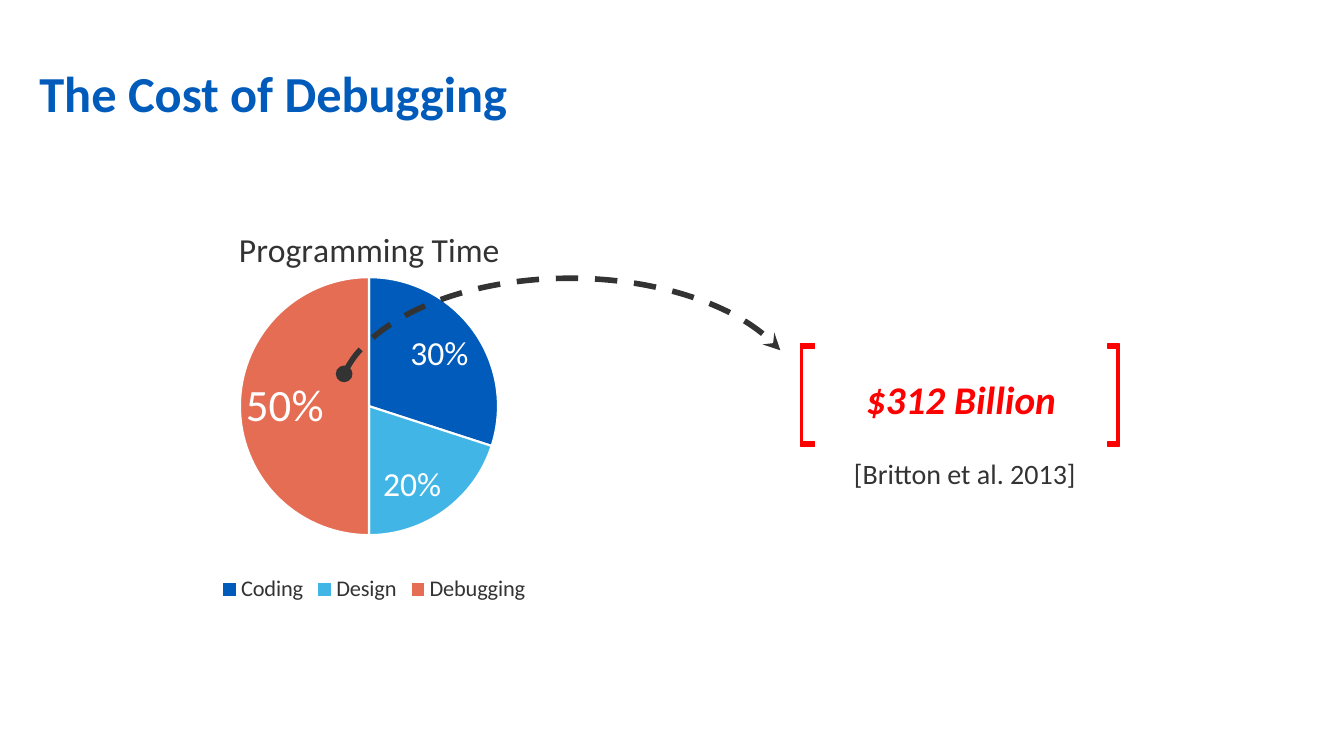
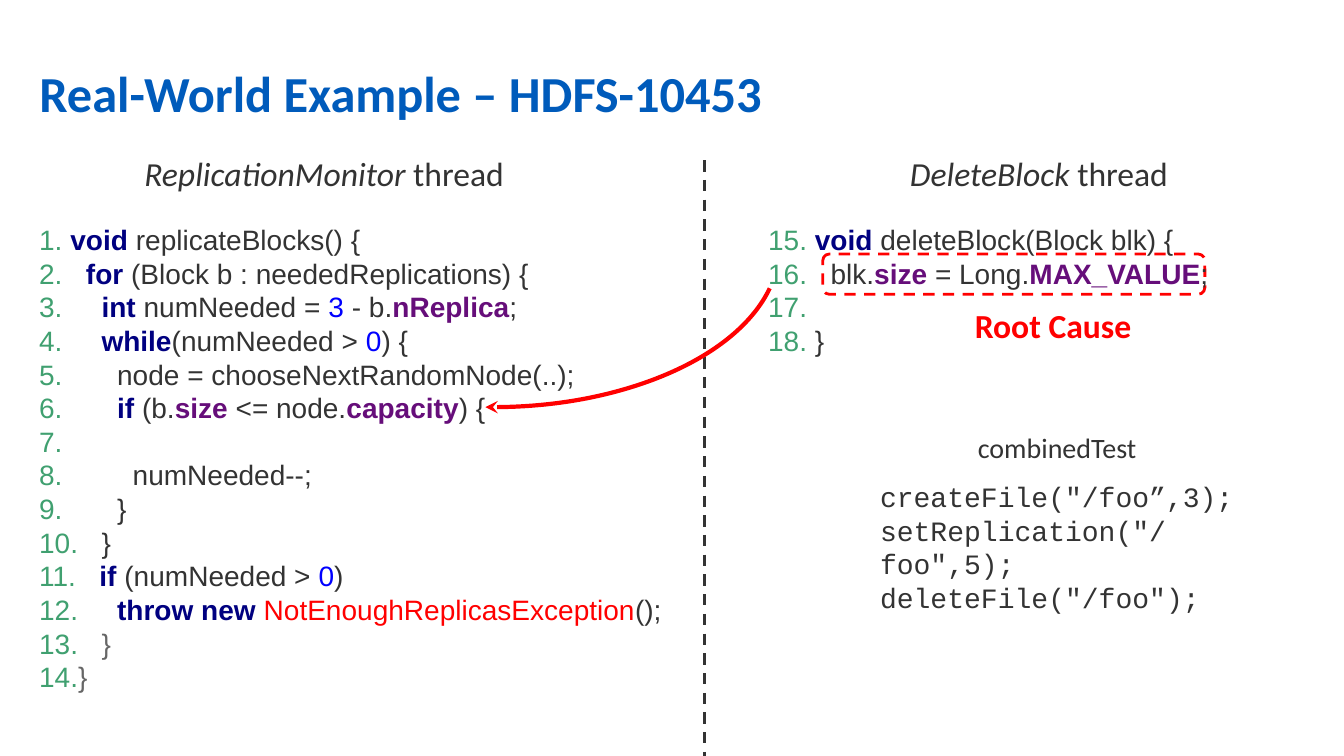
import pptx
import pptx.chart.data
import pptx.dml.color
import pptx.enum.chart
import pptx.enum.dml
import pptx.enum.shapes
import pptx.enum.text
import pptx.oxml
import pptx.oxml.ns
import pptx.util

Inches = pptx.util.Inches
Pt = pptx.util.Pt
SHAPE = pptx.enum.shapes.MSO_SHAPE
DASH = pptx.enum.dml.MSO_LINE.DASH
ALIGN = pptx.enum.text.PP_ALIGN

COLORS = {
    "blue": "005BBB", "sky": "41B6E6", "coral": "E56D54", "ink": "333333",
    "gray": "666666", "red": "FF0000", "white": "FFFFFF", "green": "40A070",
    "navy": "000080", "number": "0000FF", "purple": "660E7A",
}
BODY_FONT = "Calibri"

# Token style: colour, bold, italic
STYLES = {
    "line": ("green", False, False),
    "key": ("navy", True, False),
    "code": ("ink", False, False),
    "value": ("number", False, False),
    "field": ("purple", True, False),
    "error": ("red", False, False),
    "dim": ("gray", False, False),
    "name": ("ink", False, True),
}

COST_TITLE = "The Cost of Debugging"
CHART_TITLE = "Programming Time"
TIME_SHARES = [("Coding", 30, "blue"), ("Design", 20, "sky"), ("Debugging", 50, "coral")]
COST = "$312 Billion"
CITATION = "[Britton et al. 2013]"
# Outer edge, inner edge of each bracket
BRACKETS = [(7.94, 8.08), (11.1, 10.99)]

EXAMPLE_TITLE = "Real-World Example – HDFS-10453"
# Thread name, box
THREADS = [
    ("ReplicationMonitor", (0.86, 1.47, 4.71, 0.5)),
    ("DeleteBlock", (8.49, 1.47, 3.63, 0.5)),
]
REPLICATE_CODE = [
    [("line", "1. "), ("key", "void "), ("code", "replicateBlocks() {")],
    [("line", "2.   "), ("key", "for "), ("code", "(Block b : neededReplications) {")],
    [("line", "3.     "), ("key", "int "), ("code", "numNeeded = "), ("value", "3 "),
     ("code", "- b."), ("field", "nReplica"), ("code", ";")],
    [("line", "4.     "), ("key", "while"), ("code", "(numNeeded > "), ("value", "0"),
     ("code", ") {")],
    [("line", "5.       "), ("code", "node = chooseNextRandomNode(..);")],
    [("line", "6.       "), ("key", "if "), ("code", "(b."), ("field", "size "),
     ("code", "<= node."), ("field", "capacity"), ("code", ") {")],
    [("line", "7.")],
    [("line", "8.         "), ("code", "numNeeded--;")],
    [("line", "9.       "), ("code", "}")],
    [("line", "10.   "), ("code", "}")],
    [("line", "11.   "), ("key", "if "), ("code", "(numNeeded > "), ("value", "0"),
     ("code", ")")],
    [("line", "12.     "), ("key", "throw new "), ("error", "NotEnoughReplicasException"),
     ("code", "();")],
    [("line", "13.   "), ("dim", "}")],
    [("line", "14."), ("dim", "}")],
]
DELETE_CODE = [
    [("line", "15. "), ("key", "void "), ("code", "deleteBlock(Block blk) {")],
    [("line", "16.   "), ("code", "blk."), ("field", "size "), ("code", "= Long."),
     ("field", "MAX_VALUE"), ("code", ";")],
    [("line", "17.")],
    [("line", "18. "), ("code", "}")],
]
TEST_CODE = ['createFile("/foo”,3);', 'setReplication("/foo",5);', 'deleteFile("/foo");']


def rgb(name):
    return pptx.dml.color.RGBColor.from_string(COLORS[name])


def inches(box):
    return [Inches(length) for length in box]


def set_font(font, size, color="ink", name=BODY_FONT, bold=False, italic=False):
    font.name, font.size, font.bold, font.italic = name, Pt(size), bold, italic
    font.color.rgb = rgb(color)


def add_titled_slide(deck, title):
    page = deck.slides.add_slide(deck.slide_layouts[5])
    holder = page.shapes.title
    holder.left, holder.top, holder.width, holder.height = inches((0.29, 0.32, 11.83, 0.95))
    frame = holder.text_frame
    frame.text = title
    frame.auto_size = pptx.enum.text.MSO_AUTO_SIZE.NONE
    frame.vertical_anchor = pptx.enum.text.MSO_ANCHOR.BOTTOM
    para = frame.paragraphs[0]
    para.alignment = ALIGN.LEFT
    para.line_spacing = 0.9
    set_font(para.font, 36, "blue", bold=True)
    return page


def add_text(page, box, lines, size, align=ALIGN.CENTER, spacing=None, **font):
    """Add a text box; a line is a string or a list of (style, text) tokens."""
    frame = page.shapes.add_textbox(*inches(box)).text_frame
    frame.word_wrap = True
    for index, line in enumerate(lines):
        para = frame.add_paragraph() if index else frame.paragraphs[0]
        para.alignment = align
        para.line_spacing = spacing
        set_font(para.font, size, **font)
        if isinstance(line, str):
            para.add_run().text = line
            continue
        for style, text in line:
            span = para.add_run()
            span.text = text
            color, span.font.bold, span.font.italic = STYLES[style]
            span.font.color.rgb = rgb(color)


def add_code(page, box, lines, name="Arial"):
    add_text(page, box, lines, 20, ALIGN.LEFT, Pt(24), name=name)


def style_line(line, color, width, dash=None):
    line.color.rgb = rgb(color)
    line.width = Pt(width)
    if dash:
        line.dash_style = dash


def add_outline(page, kind, box, color, width, dash=None):
    shape = page.shapes.add_shape(kind, *inches(box))
    shape.shadow.inherit = False
    shape.fill.background()
    style_line(shape.line, color, width, dash)
    return shape


def add_arc_arrow(page, box, angles, color, width, dash=None, head=None):
    """Draw an arc between two angles in degrees, with an arrowhead at its end."""
    arc = add_outline(page, SHAPE.ARC, box, color, width, dash)
    for index, angle in enumerate(angles):
        arc.adjustments[index] = angle * 60000 / 100000
    line = arc.element.spPr.find(pptx.oxml.ns.qn("a:ln"))
    for tag, kind in (("a:headEnd", head), ("a:tailEnd", "stealth")):
        if kind:
            end = pptx.oxml.parse_xml(f'<{tag} {pptx.oxml.ns.nsdecls("a")} type="{kind}"/>')
            line.append(end)
    return arc


def add_bracket(page, outer, inner, top=3.41, bottom=4.43):
    stem = outer + (0.02 if inner > outer else -0.02)
    arm = 0.05
    points = [(outer, top), (outer, bottom), (inner, bottom), (inner, bottom - arm),
              (stem, bottom - arm), (stem, top + arm), (inner, top + arm)]
    builder = page.shapes.build_freeform(Inches(inner), Inches(top))
    builder.add_line_segments([inches(point) for point in points], close=True)
    bracket = builder.convert_to_shape()
    bracket.shadow.inherit = False
    bracket.fill.solid()
    bracket.fill.fore_color.rgb = rgb("red")
    style_line(bracket.line, "red", 1)


def set_layout(parent, index, inner=False, **places):
    """Place a chart part by fractions of the chart's width and height."""
    for old in parent.findall(pptx.oxml.ns.qn("c:layout")):
        parent.remove(old)
    target = '<c:layoutTarget val="inner"/>' if inner else ""
    modes = "".join(f'<c:{key}Mode val="edge"/>' for key in ("x", "y"))
    values = "".join(f'<c:{key} val="{value}"/>' for key, value in places.items())
    parent.insert(index, pptx.oxml.parse_xml(
        f'<c:layout {pptx.oxml.ns.nsdecls("c")}><c:manualLayout>'
        f"{target}{modes}{values}</c:manualLayout></c:layout>"))


def add_time_chart(page):
    chart_enum = pptx.enum.chart
    inside = chart_enum.XL_LABEL_POSITION.INSIDE_END
    data = pptx.chart.data.CategoryChartData()
    data.categories = [name for name, _, _ in TIME_SHARES]
    data.add_series("Series 1", [share for _, share, _ in TIME_SHARES])
    chart = page.shapes.add_chart(
        chart_enum.XL_CHART_TYPE.PIE, *inches((1.21, 2.03, 5, 4)), data).chart
    set_font(chart.font, 10, "gray")

    chart.has_title = True
    title = chart.chart_title
    title.text_frame.text = CHART_TITLE
    set_font(title.text_frame.paragraphs[0].runs[0].font, 24)
    chart_xml = chart.element.find(pptx.oxml.ns.qn("c:chart"))
    set_layout(chart_xml.find(pptx.oxml.ns.qn("c:title")), 1, x=0.22, y=0.04)
    set_layout(chart_xml.find(pptx.oxml.ns.qn("c:plotArea")), 0, inner=True,
               x=0.23, y=0.18, w=0.52, h=0.64)

    chart.has_legend = True
    chart.legend.position = chart_enum.XL_LEGEND_POSITION.BOTTOM
    chart.legend.include_in_layout = False
    set_font(chart.legend.font, 16)

    plot = chart.plots[0]
    plot.vary_by_categories = True
    series = plot.series[0]
    for index, (_, _, color) in enumerate(TIME_SHARES):
        slice_format = series.points[index].format
        slice_format.fill.solid()
        slice_format.fill.fore_color.rgb = rgb(color)
        style_line(slice_format.line, "white", 1.5)
    labels = series.data_labels
    labels.show_percentage = True
    labels.show_value = False
    labels.number_format = "0%"
    labels.number_format_is_linked = False
    labels.position = inside
    set_font(labels.font, 24, "white")

    largest = max(range(len(TIME_SHARES)), key=lambda index: TIME_SHARES[index][1])
    label = series.points[largest].data_label
    label.text_frame.text = f"{TIME_SHARES[largest][1]}%"
    set_font(label.text_frame.paragraphs[0].runs[0].font, 32, "white")
    label.position = inside


def build_cost_slide(deck):
    page = add_titled_slide(deck, COST_TITLE)
    add_time_chart(page)
    for outer, inner in BRACKETS:
        add_bracket(page, outer, inner)
    add_text(page, (7.97, 3.67, 3.12, 0.57), [COST], 28, color="red", bold=True, italic=True)
    arc = add_arc_arrow(page, (4.39, 1.71, 2.53, 4.63), (278.03, 75.21),
                        "ink", 4, DASH, head="oval")
    arc.rotation = 270
    add_text(page, (8.01, 4.48, 3.12, 0.44), [CITATION], 20)


def build_example_slide(deck):
    page = add_titled_slide(deck, EXAMPLE_TITLE)
    for name, box in THREADS:
        add_text(page, box, [[("name", name), ("code", " thread")]], 24)
    add_text(page, (9.05, 4.22, 2.87, 0.44), ["combinedTest"], 20)
    add_code(page, (8.63, 4.71, 4.19, 1.11), TEST_CODE, "Courier New")
    add_text(page, (8.63, 2.98, 3.63, 0.5), ["Root Cause"], 24, color="red", bold=True)
    add_outline(page, SHAPE.ROUNDED_RECTANGLE, (8.16, 2.52, 3.79, 0.4), "red", 2, DASH)
    divider = page.shapes.add_connector(
        pptx.enum.shapes.MSO_CONNECTOR.STRAIGHT, *inches((6.99, 1.59, 6.99, 7.5)))
    style_line(divider.line, "ink", 2, DASH)
    divider.element.spPr.append(
        pptx.oxml.parse_xml(f'<a:effectLst {pptx.oxml.ns.nsdecls("a")}/>'))
    add_code(page, (0.29, 2.16, 6.7, 4.81), REPLICATE_CODE)
    add_code(page, (7.52, 2.16, 5.7, 1.45), DELETE_CODE)
    add_arc_arrow(page, (2.03, 0.87, 5.7, 3.17), (8.39, 92.37), "red", 3)


def main():
    deck = pptx.Presentation()
    deck.slide_width, deck.slide_height = inches((13.33, 7.5))
    build_cost_slide(deck)
    build_example_slide(deck)
    deck.save("out.pptx")


if __name__ == "__main__":
    main()
